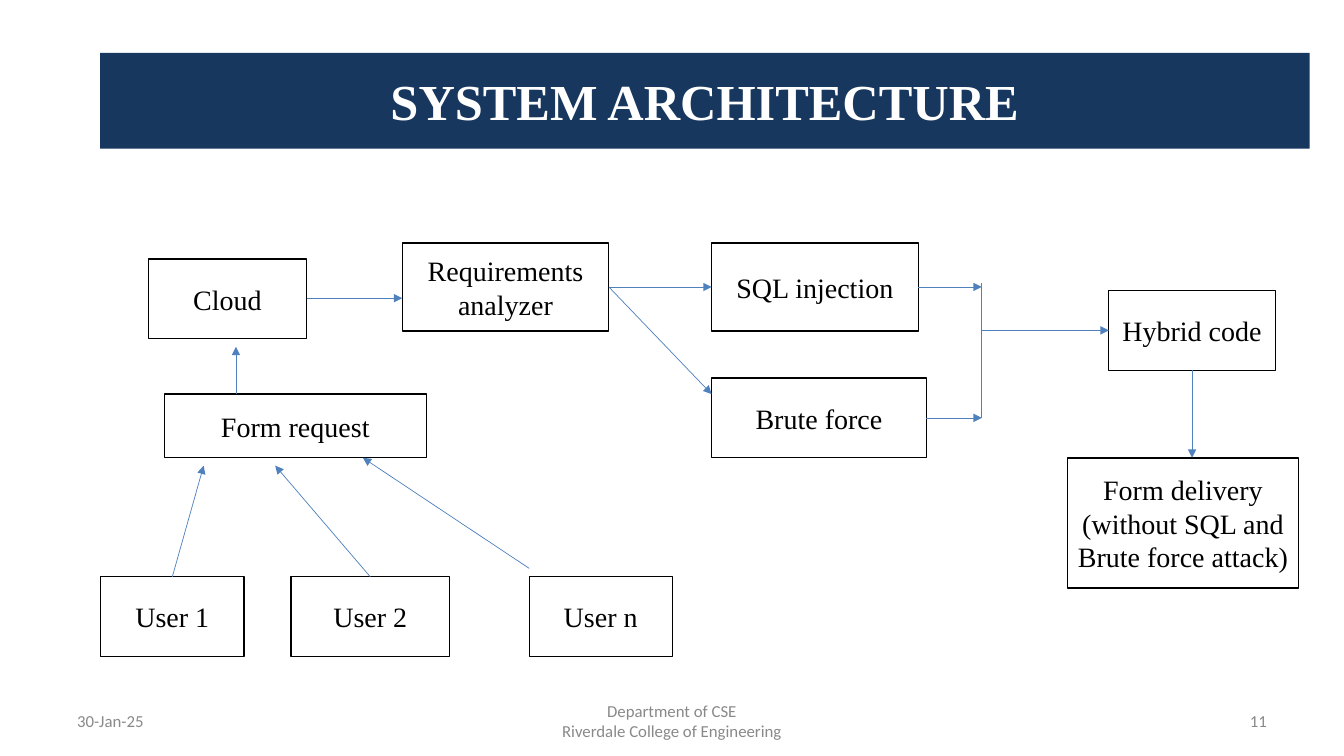
from lxml import etree
from pptx import Presentation
from pptx.dml.color import RGBColor
from pptx.enum.shapes import MSO_CONNECTOR, MSO_SHAPE
from pptx.enum.text import MSO_ANCHOR, PP_ALIGN
from pptx.oxml.ns import qn
from pptx.util import Pt

STRAIGHT = MSO_CONNECTOR.STRAIGHT
RECTANGLE = MSO_SHAPE.RECTANGLE
MIDDLE = MSO_ANCHOR.MIDDLE
LEFT, CENTER, RIGHT = PP_ALIGN.LEFT, PP_ALIGN.CENTER, PP_ALIGN.RIGHT
SIDE_TOP, SIDE_LEFT, SIDE_BOTTOM, SIDE_RIGHT = range(4)

COLOURS = {
    "navy": "17375E",
    "white": "FFFFFF",
    "black": "000000",
    "arrow": "4F81BD",
    "footer": "898989",
}
TITLE_FONT = {"name": "Times New Roman", "size": Pt(36), "bold": True}
STEP_FONT = {"name": "Times New Roman", "size": Pt(20)}
FOOTER_FONT = {"name": "Calibri", "size": Pt(12)}

# Left, top, width, height in points
STEPS = {
    "Cloud": (106, 185, 113, 57),
    "Requirements analyzer": (287.3, 173.5, 147.6, 63),
    "Form request": (117.4, 281.5, 187.2, 45.4),
    "SQL injection": (508.3, 173.5, 147.6, 63),
    "Brute force": (508.3, 270, 153.4, 57),
    "Hybrid code": (792, 207.5, 119, 57),
    "Form delivery\n(without SQL and Brute force attack)": (762.5, 327, 165, 93),
    "User 1": (72, 412, 102.2, 57),
    "User 2": (208, 412, 113, 57),
    "User n": (378, 412, 102.2, 57),
}
MERGE_X = 701.3
SQL_Y, HYBRID_Y, BRUTE_Y = 205, 236, 298.5

# Each end is a point or a (step, side) pair
ARROWS = [
    ((219, 213), (287.3, 213)),
    ((168.5, 281.5), (168.5, 247.7)),
    (("User 1", SIDE_TOP), (145.5, 332.6)),
    (("User 2", SIDE_TOP), (196.6, 332.6)),
    ((378, 406), (259.2, 327)),
    (("Requirements analyzer", SIDE_RIGHT), ("SQL injection", SIDE_LEFT)),
    (("Requirements analyzer", SIDE_RIGHT), (508.3, 281.5)),
    (("SQL injection", SIDE_RIGHT), (MERGE_X, SQL_Y)),
    (("Brute force", SIDE_RIGHT), (MERGE_X, BRUTE_Y)),
    (("Hybrid code", SIDE_BOTTOM), (851.5, 327)),
    ((MERGE_X, HYBRID_Y), ("Hybrid code", SIDE_LEFT)),
]
FOOTERS = [
    ("30-Jan-25", 48, 224, LEFT),
    ("Department of CSE\nRiverdale College of Engineering", 328, 304, CENTER),
    ("11", 688, 224, RIGHT),
]


def colour(key):
    return RGBColor.from_string(COLOURS[key])


def write_text(shape, text, font, ink, align):
    frame = shape.text_frame
    frame.word_wrap = True
    frame.vertical_anchor = MIDDLE
    frame.text = text
    for paragraph in frame.paragraphs:
        paragraph.alignment = align
        for attribute, value in font.items():
            setattr(paragraph.font, attribute, value)
        paragraph.font.color.rgb = colour(ink)


def add_box(slide, bounds, text, font, fill, ink, outline=None):
    box = slide.shapes.add_shape(RECTANGLE, *map(Pt, bounds))
    box.shadow.inherit = False
    box.fill.solid()
    box.fill.fore_color.rgb = colour(fill)
    if outline:
        box.line.color.rgb = colour(outline)
        box.line.width = Pt(1)
    else:
        box.line.fill.background()
    write_text(box, text, font, ink, CENTER)
    return box


def add_footer(slide, text, left, width, align):
    footer = slide.shapes.add_textbox(Pt(left), Pt(500.5), Pt(width), Pt(28.8))
    write_text(footer, text, FOOTER_FONT, "footer", align)


def add_line(slide, steps, start, end, arrowhead=True):
    """Draw a line, joining it to a step at each end given as (step, side)."""
    points = [(0, 0) if spot[0] in steps else spot for spot in (start, end)]
    line = slide.shapes.add_connector(
        STRAIGHT, *(Pt(value) for point in points for value in point))
    for spot, join in ((start, line.begin_connect), (end, line.end_connect)):
        if spot[0] in steps:
            join(steps[spot[0]], spot[1])
    line.line.color.rgb = colour("arrow")
    line.line.width = Pt(0.5)
    if arrowhead:
        etree.SubElement(line.line._get_or_add_ln(), qn("a:tailEnd"), type="triangle")
    etree.SubElement(line._element.spPr, qn("a:effectLst"))


def main():
    deck = Presentation()
    deck.slide_width, deck.slide_height = Pt(960), Pt(540)
    slide = deck.slides.add_slide(deck.slide_layouts[6])

    add_box(slide, (71.5, 37.8, 864, 68.4), "SYSTEM ARCHITECTURE",
            TITLE_FONT, "navy", "white")
    for footer in FOOTERS:
        add_footer(slide, *footer)
    steps = {
        text: add_box(slide, bounds, text, STEP_FONT, "white", "black", "black")
        for text, bounds in STEPS.items()
    }
    for start, end in ARROWS:
        add_line(slide, steps, start, end)
    add_line(slide, steps, (MERGE_X, 202.5), (MERGE_X, BRUTE_Y), arrowhead=False)

    deck.save("out.pptx")


if __name__ == "__main__":
    main()
